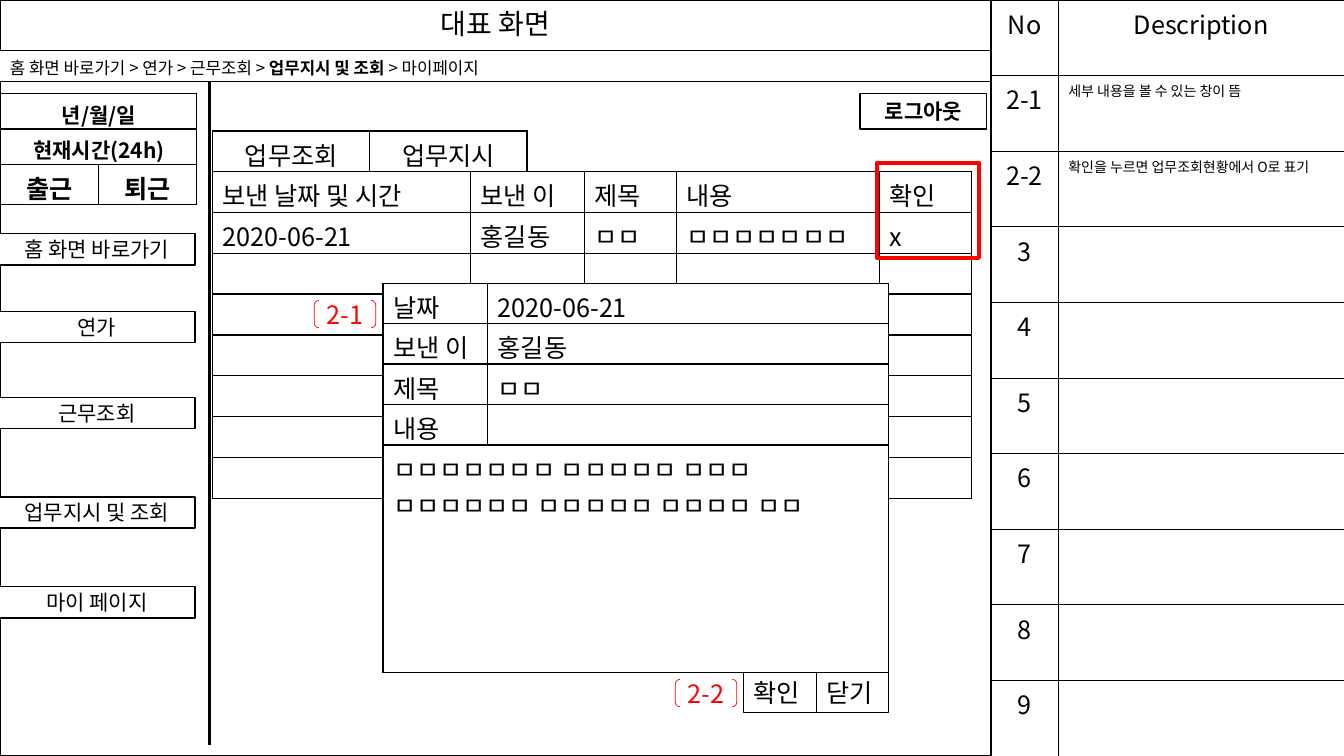
from lxml import etree
from pptx import Presentation
from pptx import util as u
from pptx.dml.color import RGBColor
from pptx.enum import shapes, text
from pptx.oxml import ns

BLACK = RGBColor(0, 0, 0)
WHITE = RGBColor(255, 255, 255)
RED = RGBColor(255, 0, 0)
FONT = "Noto Sans CJK KR"
CENTER, LEFT = text.PP_ALIGN.CENTER, text.PP_ALIGN.LEFT
MIDDLE, TOP = text.MSO_ANCHOR.MIDDLE, text.MSO_ANCHOR.TOP
RECT, BRACKETS = shapes.MSO_SHAPE.RECTANGLE, shapes.MSO_SHAPE.DOUBLE_BRACKET


def cm(*lengths):
    return [u.Cm(length) for length in lengths]


def add_typeface(properties, tags):
    for tag in tags:
        etree.SubElement(properties, ns.qn(tag), typeface=FONT)


def write(para, words, size, color=BLACK, bold=False, align=LEFT):
    """Add one run; without words, only the paragraph's size and font are set."""
    para.alignment = align
    if not words:
        end = etree.SubElement(para._p, ns.qn("a:endParaRPr"), sz=str(size * 100))
        add_typeface(end, ("a:latin", "a:ea"))
        return
    span = para.add_run()
    span.text = words
    span.font.size, span.font.bold = u.Pt(size), bold
    span.font.color.rgb = color
    span.font.name = FONT
    add_typeface(span.font._element, ("a:ea",))


def add_box(page, box, kind=RECT, fill=None, line=BLACK, weight=1):
    shape = page.shapes.add_shape(kind, *cm(*box))
    shape.shadow.inherit = False
    if fill is None:
        shape.fill.background()
    else:
        shape.fill.solid()
        shape.fill.fore_color.rgb = fill
    shape.line.color.rgb = line
    shape.line.width = u.Pt(weight)
    return shape


def add_button(page, box, words, bold=False):
    frame = add_box(page, box, fill=WHITE).text_frame
    frame.vertical_anchor = MIDDLE
    write(frame.paragraphs[0], words, 15, bold=bold, align=CENTER)


def add_marker(page, box, words):
    frame = add_box(page, box, BRACKETS, line=RED, weight=0.5).text_frame
    frame.margin_left = frame.margin_right = 0
    frame.margin_top = frame.margin_bottom = 0
    frame.word_wrap = False
    frame.vertical_anchor = MIDDLE
    write(frame.paragraphs[0], words, 18, RED, align=CENTER)


def style_cell(cell, fill, weight):
    properties = cell._tc.get_or_add_tcPr()
    for side in "LRTB":
        edge = etree.SubElement(properties, ns.qn(f"a:ln{side}"), w=str(u.Pt(weight)))
        paint = etree.SubElement(edge, ns.qn("a:solidFill"))
        etree.SubElement(paint, ns.qn("a:srgbClr"), val=str(BLACK))
    if fill is None:
        cell.fill.background()
    else:
        cell.fill.solid()
        cell.fill.fore_color.rgb = fill


def add_grid(page, box, widths, heights, rows, look, fill=None, weight=1, merged=()):
    """look(row, column) gives the size, boldness and alignment of a cell's text."""
    frame = page.shapes.add_table(len(heights), len(widths), *cm(*box))
    table = frame.table
    table.first_row = table.horz_banding = False
    for column, width in zip(table.columns, widths):
        column.width = u.Cm(width)
    for line, height in zip(table.rows, heights):
        line.height = u.Cm(height)
    frame.height = u.Cm(box[3])
    for row in merged:
        table.cell(row, 0).merge(table.cell(row, len(widths) - 1))
    for r in range(len(heights)):
        for c in range(len(widths)):
            cell = table.cell(r, c)
            style_cell(cell, fill, weight)
            words = rows[r][c] if r < len(rows) and c < len(rows[r]) else ""
            size, bold, align = look(r, c)
            write(cell.text_frame.paragraphs[0], words, size, bold=bold, align=align)


def add_title(page, box):
    title = page.shapes.title
    title.left, title.top, title.width, title.height = cm(*box)
    title.line.color.rgb = BLACK
    title.line.width = u.Pt(0.75)
    frame = title.text_frame
    frame.auto_size = text.MSO_AUTO_SIZE.NONE
    frame.vertical_anchor = MIDDLE
    para = frame.paragraphs[0]
    para.line_spacing = 0.9
    write(para, "대표 화면", 20, align=CENTER)


def add_breadcrumb(page, box):
    left, top, width, height = box
    add_box(page, box, weight=0.75)
    frame = page.shapes.add_textbox(*cm(left, top + 0.05, 15.6, height)).text_frame
    frame.word_wrap = True
    para = frame.paragraphs[0]
    write(para, "홈 화면 바로가기 > 연가 > 근무조회 > ", 12)
    write(para, "업무지시 및 조회 ", 12, bold=True)
    write(para, "> 마이페이지", 12)


def add_descriptions(page, box):
    rows = [("No", "Description"),
            ("2-1", "세부 내용을 볼 수 있는 창이 뜸"),
            ("2-2", "확인을 누르면 업무조회현황에서 O로 표기")]
    rows += [(str(number),) for number in range(3, 10)]

    def look(r, c):
        note = c == 1 and r in (1, 2)
        return (10, False, LEFT) if note else (18, False, CENTER)

    add_grid(page, box, (1.7, 7.2), [box[3] / 10] * 10, rows, look, weight=0.5)


def add_sidebar(page, box):
    left, top, width, height = box
    add_grid(page, (left + 0.02, top + 0.3, 4.94, 2.79), (2.47, 2.47), (0.61, 0.76, 0.76),
             [("년/월/일",), ("현재시간(24h)",), ("출근", "퇴근")],
             lambda r, c: (18 if r == 2 else 15, True, CENTER), merged=(0, 1))
    menu = {"홈 화면 바로가기": 3.83, "연가": 5.79, "근무조회": 7.95,
            "업무지시 및 조회": 10.46, "마이 페이지": 12.72}
    for words, offset in menu.items():
        add_button(page, (left - 0.03, top + offset, 4.95, 0.79), words)
    divider = page.shapes.add_connector(
        shapes.MSO_CONNECTOR.STRAIGHT,
        *cm(left + width, top, left + width, top + height))
    divider.line.color.rgb = BLACK
    divider.line.width = u.Pt(1.5)
    etree.SubElement(divider._element.spPr, ns.qn("a:effectLst"))


def add_task_list(page, box):
    left, top, width, height = box
    add_grid(page, (left, top, 7.92, 1.02), (3.96, 3.96), (0.86,),
             [("업무조회", "업무지시")], lambda r, c: (18, False, CENTER))
    add_grid(page, (left, top + 1.02, width, height - 1.02),
             (6.5, 2.87, 2.31, 5.13, 2.31), [1.03] * 8,
             [("보낸 날짜 및 시간", "보낸 이", "제목", "내용", "확인"),
              ("2020-06-21", "홍길동", "ㅁㅁ", "ㅁㅁㅁㅁㅁㅁㅁ", "x")],
             lambda r, c: (18, False, LEFT))


def add_detail_popup(page, box):
    left, top, width, height = box
    add_marker(page, (left - 1.73, top + 0.43, 1.55, 0.69), "2-1")
    add_grid(page, box, (2.64, 10.11), (0.84, 0.51, 1.02, 1.02, 5.74),
             [("날짜", "2020-06-21"), ("보낸 이", "홍길동"), ("제목", "ㅁㅁ"), ("내용",),
              ("ㅁㅁㅁㅁㅁㅁㅁ ㅁㅁㅁㅁㅁ ㅁㅁㅁ ㅁㅁㅁㅁㅁㅁ ㅁㅁㅁㅁㅁ ㅁㅁㅁㅁ ㅁㅁ",)],
             lambda r, c: (18, False, LEFT), fill=WHITE, merged=(4,))
    side = 1.83
    for index, words in enumerate(("확인", "닫기")):
        button = (left + width - side * (2 - index), top + height, side, 1.02)
        frame = add_box(page, button, weight=0.75).text_frame
        frame.word_wrap = True
        frame.auto_size = text.MSO_AUTO_SIZE.SHAPE_TO_FIT_TEXT
        frame.vertical_anchor = TOP
        write(frame.paragraphs[0], words, 18)
    add_marker(page, (left + 7.37, top + height + 0.18, 1.55, 0.69), "2-2")


def main():
    deck = Presentation()
    deck.slide_width, deck.slide_height = cm(33.87, 19.05)
    page = deck.slides.add_slide(deck.slide_layouts[5])
    screen = 24.97
    add_box(page, (0, 2.06, screen, 16.99), fill=WHITE)
    add_title(page, (0, 0, screen, 1.27))
    add_descriptions(page, (screen, 0, 8.9, 19.05))
    add_breadcrumb(page, (0, 1.27, screen, 0.79))
    add_sidebar(page, (0, 2.06, 5.28, 16.71))
    add_task_list(page, (5.36, 3.3, 19.12, 9.26))
    add_detail_popup(page, (9.65, 7.14, 12.75, 9.8))
    add_button(page, (21.67, 2.36, 3.2, 0.89), "로그아웃", bold=True)
    add_box(page, (22.1, 4.11, 2.57, 2.39), line=RED, weight=3)
    deck.save("out.pptx")


if __name__ == "__main__":
    main()
